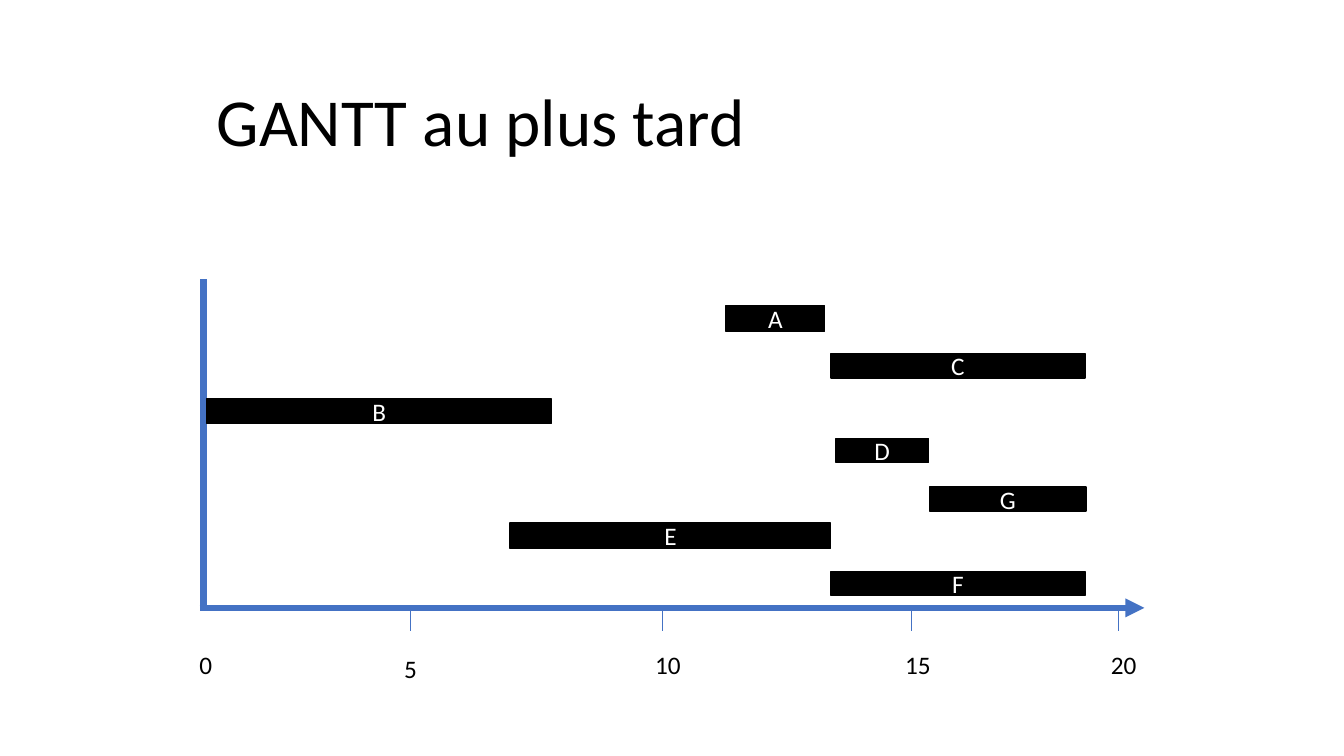
from dataclasses import dataclass

from lxml.etree import SubElement
from pptx import Presentation
from pptx.dml.color import RGBColor
from pptx.enum.shapes import MSO_CONNECTOR, MSO_SHAPE
from pptx.enum.text import MSO_ANCHOR, MSO_AUTO_SIZE, PP_ALIGN
from pptx.oxml.ns import qn
from pptx.shapes.connector import Connector
from pptx.slide import Slide
from pptx.text.text import TextFrame
from pptx.util import Inches, Pt

FONT = "Calibri"
BLACK, WHITE, AXIS_BLUE = "000000", "FFFFFF", "4472C4"
AXIS_Y = 6.03
TICK_LENGTH = 0.23


@dataclass
class Task:
    name: str
    left: float
    top: float
    width: float
    height: float = 0.24


@dataclass
class Mark:
    label: str
    left: float
    width: float = 0.46
    top: float = 6.39
    tick_x: float | None = None


TASKS = [
    Task("A", 7.2, 3.03, 0.98, 0.26),
    Task("C", 8.24, 3.51, 2.52),
    Task("B", 2.05, 3.96, 3.42),
    Task("D", 8.29, 4.35, 0.92),
    Task("G", 9.22, 4.83, 1.55),
    Task("E", 5.06, 5.19, 3.18, 0.25),
    Task("F", 8.24, 5.67, 2.52),
]

MARKS = [
    Mark("0", 1.88, width=0.33),
    Mark("5", 3.91, width=0.33, top=6.43, tick_x=4.07),
    Mark("10", 6.4, tick_x=6.57),
    Mark("15", 8.88, tick_x=9.04),
    Mark("20", 10.92, tick_x=11.09),
]


def rgb(color: str) -> RGBColor:
    return RGBColor.from_string(color)


def write(frame: TextFrame, text: str, size: float, color: str, align: PP_ALIGN) -> None:
    frame.text = text
    paragraph = frame.paragraphs[0]
    paragraph.alignment = align
    paragraph.font.name = FONT
    paragraph.font.size = Pt(size)
    paragraph.font.color.rgb = rgb(color)


def draw_line(slide: Slide, x1: float, y1: float, x2: float, y2: float, width: float) -> Connector:
    line = slide.shapes.add_connector(
        MSO_CONNECTOR.STRAIGHT, Inches(x1), Inches(y1), Inches(x2), Inches(y2))
    line.line.color.rgb = rgb(AXIS_BLUE)
    line.line.width = Pt(width)
    SubElement(line._element.spPr, qn("a:effectLst"))
    return line


def draw_title(slide: Slide, text: str) -> None:
    title = slide.shapes.title
    title.left, title.top = Inches(2.05), Inches(0.74)
    title.width, title.height = Inches(6.43), Inches(0.91)
    title.text_frame.vertical_anchor = MSO_ANCHOR.TOP
    title.text_frame.auto_size = MSO_AUTO_SIZE.NONE
    write(title.text_frame, text, 48, BLACK, PP_ALIGN.LEFT)


def draw_task(slide: Slide, task: Task) -> None:
    bar = slide.shapes.add_shape(
        MSO_SHAPE.RECTANGLE, Inches(task.left), Inches(task.top),
        Inches(task.width), Inches(task.height))
    bar.shadow.inherit = False
    bar.fill.solid()
    bar.fill.fore_color.rgb = rgb(BLACK)
    bar.line.color.rgb = rgb(BLACK)
    bar.line.width = Pt(1)
    bar.text_frame.vertical_anchor = MSO_ANCHOR.MIDDLE
    write(bar.text_frame, task.name, 18, WHITE, PP_ALIGN.CENTER)


def draw_mark(slide: Slide, mark: Mark) -> None:
    if mark.tick_x is not None:
        draw_line(slide, mark.tick_x, AXIS_Y, mark.tick_x, AXIS_Y + TICK_LENGTH, 0.5)
    label = slide.shapes.add_textbox(
        Inches(mark.left), Inches(mark.top), Inches(mark.width), Inches(0.4))
    label.text_frame.word_wrap = False
    label.text_frame.auto_size = MSO_AUTO_SIZE.SHAPE_TO_FIT_TEXT
    write(label.text_frame, mark.label, 18, BLACK, PP_ALIGN.LEFT)


def main() -> None:
    presentation = Presentation()
    presentation.slide_width = Inches(13.33)
    presentation.slide_height = Inches(7.5)
    slide = presentation.slides.add_slide(presentation.slide_layouts.get_by_name("Title Only"))

    draw_title(slide, "GANTT au plus tard")

    # Axes
    time_axis = draw_line(slide, 1.98, AXIS_Y, 11.35, AXIS_Y, 4.5)
    SubElement(time_axis.line._get_or_add_ln(), qn("a:tailEnd"), type="triangle")
    draw_line(slide, 2.02, 6.05, 2.02, 2.77, 4.5)

    # Task bars
    for task in TASKS:
        draw_task(slide, task)

    # Time scale
    for mark in MARKS:
        draw_mark(slide, mark)

    presentation.save("out.pptx")


if __name__ == "__main__":
    main()
